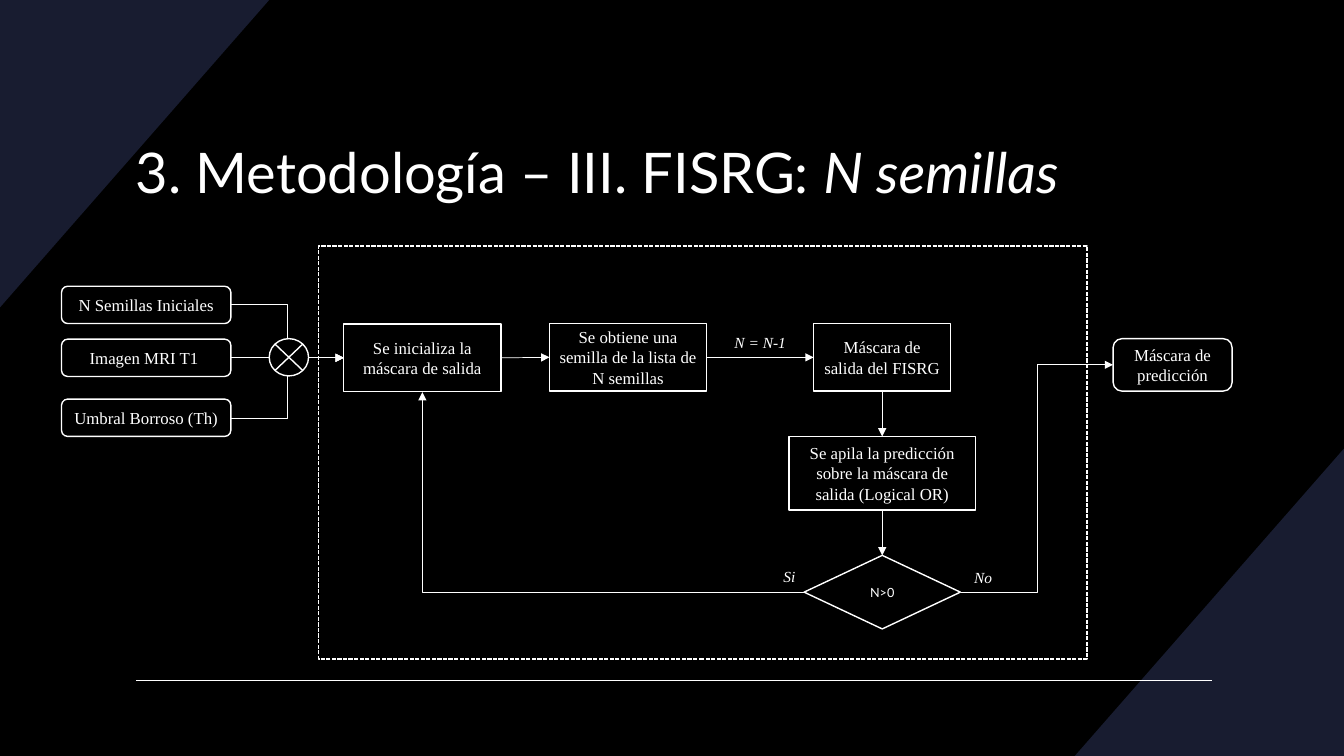
import pptx
import pptx.dml.color
import pptx.enum.dml
import pptx.enum.shapes
import pptx.enum.text
import pptx.oxml.ns
import pptx.shapes.autoshape
import pptx.shapes.connector
import pptx.text.text
import pptx.util
from dataclasses import dataclass
from lxml import etree

Form = pptx.enum.shapes.MSO_SHAPE
Bend = pptx.enum.shapes.MSO_CONNECTOR
Align = pptx.enum.text.PP_ALIGN
Shape = pptx.shapes.autoshape.Shape
Link = pptx.shapes.connector.Connector
Point = tuple[float, float]
TOP, LEFT, BOTTOM, RIGHT = range(4)
WHITE, BLACK, NAVY = "FFFFFF", "000000", "181C30"
SERIF, SANS = "Times New Roman", "Lato"


@dataclass
class Node:
    key: str
    text: str
    col: float
    row: float
    wide: float
    high: float
    form: int = Form.RECTANGLE
    fill: str = ""
    font: str = SERIF
    size: float = 12


@dataclass
class Arrow:
    start: str
    end: str
    exit: int = RIGHT
    entry: int = LEFT


@dataclass
class Elbow:
    start: Point
    end: Point
    geom: str = "bentConnector3"


@dataclass
class Label:
    text: str
    col: float
    row: float
    wide: float


# Grid: 75 rows, with square cells
deck = pptx.Presentation()
deck.slide_width = pptx.util.Inches(13.33)
deck.slide_height = pptx.util.Inches(7.5)
CELL = deck.slide_height / 75
slide = deck.slides.add_slide(deck.slide_layouts[6])


def grid(*cells: float) -> list[int]:
    return [round(cell * CELL) for cell in cells]


def tint(code: str) -> pptx.dml.color.RGBColor:
    return pptx.dml.color.RGBColor.from_string(code)


def write(para: pptx.text.text._Paragraph, text: str, font: str,
          size: float, slant: bool = False) -> None:
    run = para.add_run()
    run.text = text
    run.font.name = font
    run.font.size = pptx.util.Pt(size)
    run.font.italic = slant
    run.font.color.rgb = tint(WHITE)


def style(shape: Shape, fill: str = "") -> None:
    shape.shadow.inherit = False
    if fill:
        shape.fill.solid()
        shape.fill.fore_color.rgb = tint(fill)
    else:
        shape.fill.background()
    shape.line.color.rgb = tint(WHITE)
    shape.line.width = pptx.util.Pt(1)


def wedge(points: list[Point]) -> None:
    pen = slide.shapes.build_freeform(*grid(*points[0]), scale=1.0)
    pen.add_line_segments([grid(*spot) for spot in points[1:]], close=True)
    shape = pen.convert_to_shape()
    style(shape, NAVY)
    shape.line.fill.background()


def place(node: Node) -> Shape:
    shape = slide.shapes.add_shape(
        node.form, *grid(node.col, node.row, node.wide, node.high))
    style(shape, node.fill)
    if node.text:
        frame = shape.text_frame
        frame.word_wrap = True
        frame.vertical_anchor = pptx.enum.text.MSO_ANCHOR.MIDDLE
        frame.paragraphs[0].alignment = Align.CENTER
        write(frame.paragraphs[0], node.text, node.font, node.size)
    return shape


def trace(kind: int, start: Point, end: Point, width: float = 0.5,
          head: bool = True) -> Link:
    link = slide.shapes.add_connector(kind, *grid(*start, *end))
    link.line.color.rgb = tint(WHITE)
    link.line.width = pptx.util.Pt(width)
    qn = pptx.oxml.ns.qn
    if head:
        etree.SubElement(link.line._get_or_add_ln(), qn("a:tailEnd"), type="triangle")
    etree.SubElement(link.element.spPr, qn("a:effectLst"))
    return link


def join(arrow: Arrow, made: dict[str, Shape]) -> None:
    link = trace(Bend.STRAIGHT, (0, 0), (0, 0))
    link.begin_connect(made[arrow.start], arrow.exit)
    link.end_connect(made[arrow.end], arrow.entry)


def bend(elbow: Elbow) -> None:
    link = trace(Bend.ELBOW, elbow.start, elbow.end)
    link.element.spPr.find(pptx.oxml.ns.qn("a:prstGeom")).set("prst", elbow.geom)


def note(label: Label) -> None:
    box = slide.shapes.add_textbox(*grid(label.col, label.row, label.wide, 2.9))
    box.text_frame.word_wrap = True
    para = box.text_frame.paragraphs[0]
    para.alignment = Align.CENTER
    write(para, label.text, SERIF, 11, True)


# Backdrop
slide.background.fill.solid()
slide.background.fill.fore_color.rgb = tint(BLACK)
wedge([(133.3, 44.5), (133.3, 75), (106.6, 75)])
wedge([(0, 0), (26.7, 0), (0, 30.5)])
trace(Bend.STRAIGHT, (13.5, 67.5), (120.2, 67.5), 1, False)

# Title
title = slide.shapes.add_textbox(*grid(12.5, 9.5, 108.3, 14.9)).text_frame
title.word_wrap = True
title.vertical_anchor = pptx.enum.text.MSO_ANCHOR.MIDDLE
write(title.paragraphs[0], "3. Metodología – III. FISRG: ", SANS, 40)
write(title.paragraphs[0], "N semillas", SANS, 40, True)

# Dashed frame and boxes
frame = place(Node("frame", "", 31.6, 24.4, 76.2, 41))
frame.line.dash_style = pptx.enum.dml.MSO_LINE.SQUARE_DOT
ROUND = Form.ROUNDED_RECTANGLE
NODES = [
    Node("seeds", "N Semillas Iniciales", 6.1, 28.4, 16.8, 3.7, ROUND),
    Node("scan", "Imagen MRI T1 ", 6.1, 33.65, 16.8, 3.7, ROUND),
    Node("fuzzy", "Umbral Borroso (Th)", 6.1, 39.6, 16.8, 3.7, ROUND),
    Node("init", "Se inicializa la máscara de salida", 34.1, 32.15, 15.6, 6.7),
    Node("pick", "Se obtiene una semilla de la lista de N semillas",
         54.5, 32.1, 15.6, 6.7),
    Node("mask", "Máscara de salida del FISRG", 80.7, 32.1, 13.6, 6.7),
    Node("stack", "Se apila la predicción sobre la máscara de salida (Logical OR)",
         78.25, 43.3, 18.5, 7.3),
    Node("test", "N>0", 79.75, 55.1, 15.5, 7.3, Form.DIAMOND, BLACK, SANS, 9),
    Node("result", "Máscara de predicción", 110.4, 33.6, 11.8, 5.2, ROUND),
]
made = {node.key: place(node) for node in NODES}

# Arrows
for arrow in [
    Arrow("scan", "init"),
    Arrow("init", "pick"),
    Arrow("pick", "mask"),
    Arrow("mask", "stack", BOTTOM, TOP),
    Arrow("stack", "test", BOTTOM, TOP),
]:
    join(arrow, made)
for elbow in [
    Elbow((22.9, 30.2), (34.1, 35.5)),
    Elbow((22.9, 41.5), (34.1, 35.5)),
    Elbow((79.75, 58.8), (41.9, 38.9), "bentConnector2"),
    Elbow((95.3, 58.8), (110.4, 36.2)),
]:
    bend(elbow)

# Junction covers the crossing lines
place(Node("merge", "", 26.7, 33.6, 3.9, 3.7, Form.FLOWCHART_SUMMING_JUNCTION, BLACK))

# Arrow labels
for label in [
    Label("N = N-1", 71, 32.6, 8.8),
    Label("Si", 75.2, 55.8, 6.2),
    Label("No", 94.4, 55.9, 6.2),
]:
    note(label)

deck.save("out.pptx")
